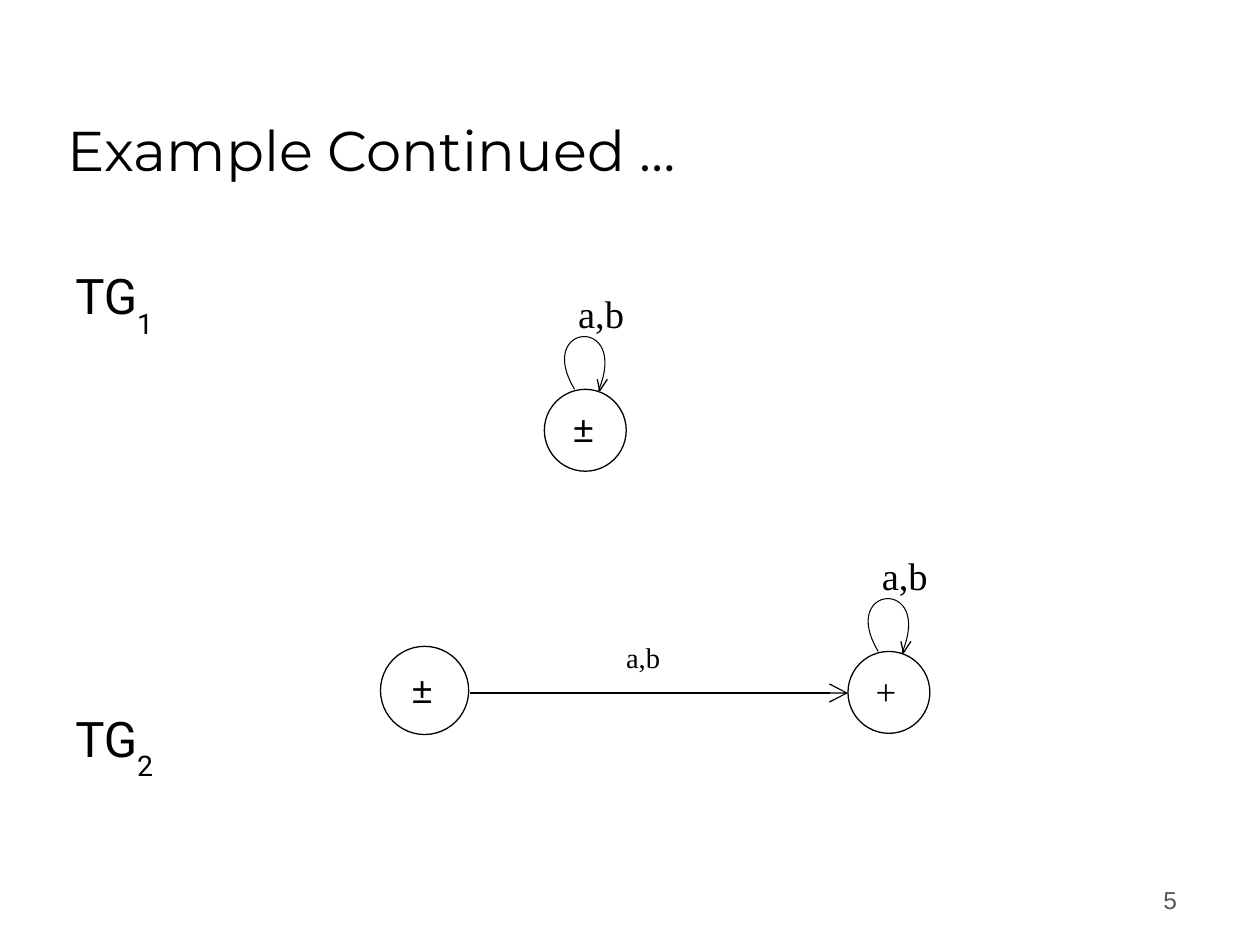
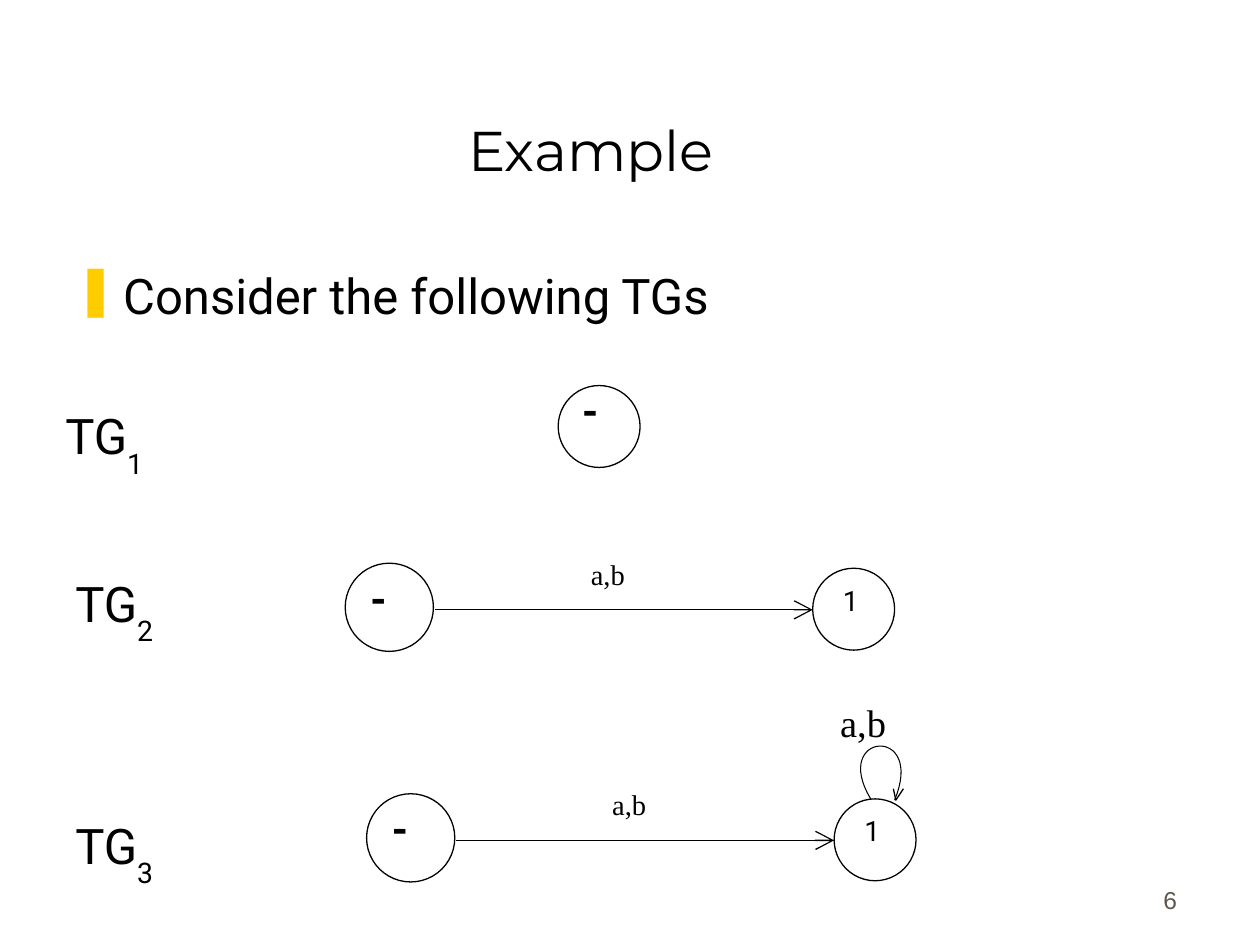
from dataclasses import dataclass
from typing import Optional

from lxml import etree
from pptx import Presentation
from pptx.dml.color import RGBColor
from pptx.enum import shapes, text
from pptx.oxml import ns
from pptx.util import Inches, Pt


# Theme: colours, fonts and type sizes shared by both slides
@dataclass(frozen=True)
class Theme:
    ink: str = "000000"
    paper: str = "FFFFFF"
    page: str = "5E574E"
    bullet: str = "FFCC00"
    title_font: str = "Montserrat"
    body_font: str = "Roboto"
    sans: str = "Arial"
    serif: str = "Times New Roman"
    title_size: float = 32
    body_size: float = 28
    loop_size: float = 22
    edge_size: float = 16.3
    page_size: float = 14
    line: float = 0.75
    loop_line: float = 0.6


T = Theme()
LEFT, CENTER, RIGHT = text.PP_ALIGN.LEFT, text.PP_ALIGN.CENTER, text.PP_ALIGN.RIGHT
INSETS = (0.1, 0.05)


@dataclass(frozen=True)
class Mark:
    """Sign in a state, placed relative to the circle's top left."""
    sign: str
    dx: float
    dy: float
    font: str
    size: float
    bold: bool = False
    spacing: Optional[float] = None


@dataclass(frozen=True)
class Loop:
    """Sideways shifts of a loop and its label from the circle's left."""
    dx: float
    label_dx: float


@dataclass(frozen=True)
class State:
    x: float
    y: float
    mark: Mark
    size: float = 0.65
    loop: Optional[Loop] = None


@dataclass(frozen=True)
class Transition:
    """Start state, arrow and end state; x, y place the start circle."""
    x: float
    y: float
    start: Mark
    end: Mark
    loop: Optional[Loop] = None


@dataclass(frozen=True)
class GraphName:
    x: float
    y: float
    number: str


# Text helpers
def add_run(p, words: str, font: str, size: float, color: str = T.ink, bold: bool = False):
    r = p.add_run()
    r.text = words
    r.font.name = font
    r.font.size = Pt(size)
    r.font.bold = bold
    r.font.color.rgb = RGBColor.from_string(color)
    return r


def add_box(s, x: float, y: float, w: float, h: float, align=LEFT,
            anchor=text.MSO_ANCHOR.TOP, insets=INSETS, spacing: Optional[float] = None):
    """Add a text box and return its first paragraph."""
    tf = s.shapes.add_textbox(Inches(x), Inches(y), Inches(w), Inches(h)).text_frame
    tf.word_wrap = True
    tf.vertical_anchor = anchor
    tf.margin_left = tf.margin_right = Inches(insets[0])
    tf.margin_top = tf.margin_bottom = Inches(insets[1])
    p = tf.paragraphs[0]
    p.alignment = align
    if spacing:
        p.line_spacing = spacing
    return p


def set_bullet(p, sign: str, color: str, indent: float) -> None:
    pPr = p._p.get_or_add_pPr()
    pPr.set("marL", str(Inches(indent)))
    pPr.set("indent", str(-Inches(indent)))
    clr = etree.SubElement(pPr, ns.qn("a:buClr"))
    etree.SubElement(clr, ns.qn("a:srgbClr")).set("val", color)
    etree.SubElement(pPr, ns.qn("a:buChar")).set("char", sign)


# Drawing helpers
def set_line(sp, width: float) -> None:
    sp.line.color.rgb = RGBColor.from_string(T.ink)
    sp.line.width = Pt(width)


def draw_path(s, points: list, width: float) -> None:
    """Draw an open outline through points given in inches."""
    pts = [(Inches(x), Inches(y)) for x, y in points]
    builder = s.shapes.build_freeform(*pts[0])
    builder.add_line_segments(pts[1:], close=False)
    sp = builder.convert_to_shape()
    sp.shadow.inherit = False
    sp.fill.background()
    set_line(sp, width)


def bezier(a, b, c, d, steps: int = 32) -> list:
    def at(t: float, i: int) -> float:
        u = 1 - t
        return u**3 * a[i] + 3 * u * u * t * b[i] + 3 * u * t * t * c[i] + t**3 * d[i]
    return [(at(n / steps, 0), at(n / steps, 1)) for n in range(steps + 1)]


def draw_loop(s, x: float, y: float, loop: Loop) -> None:
    """Loop with an open arrowhead above the circle whose top left is x, y."""
    curve = bezier((0.24, 0), (-0.08, -0.53), (0.68, -0.59), (0.43, 0.01))
    head = [(0.42, -0.08), (0.44, 0.01), (0.5, -0.08)]
    for points, width in ((curve, T.loop_line), (head, T.line)):
        draw_path(s, [(x + loop.dx + dx, y + dy) for dx, dy in points], width)
    p = add_box(s, x + loop.label_dx, y - 0.84, 0.84, 0.56)
    add_run(p, "a,b", T.serif, T.loop_size)


def draw_state(s, state: State) -> None:
    sp = s.shapes.add_shape(shapes.MSO_SHAPE.OVAL, Inches(state.x), Inches(state.y),
                            Inches(state.size), Inches(state.size))
    sp.shadow.inherit = False
    sp.fill.solid()
    sp.fill.fore_color.rgb = RGBColor.from_string(T.paper)
    set_line(sp, T.line)
    m = state.mark
    p = add_box(s, state.x + m.dx, state.y + m.dy, 0.35, 0.4,
                insets=(0, 0), spacing=m.spacing)
    add_run(p, m.sign, m.font, m.size, bold=m.bold)
    if state.loop:
        draw_loop(s, state.x, state.y, state.loop)


def draw_transition(s, t: Transition) -> None:
    draw_state(s, State(t.x, t.y, t.start, size=0.7))
    draw_state(s, State(t.x + 3.71, t.y + 0.04, t.end, loop=t.loop))
    x, y = t.x + 0.71, t.y + 0.37
    line = s.shapes.add_connector(shapes.MSO_CONNECTOR.STRAIGHT, Inches(x), Inches(y),
                                  Inches(x + 3), Inches(y))
    set_line(line, T.line)
    head = etree.SubElement(line.line._get_or_add_ln(), ns.qn("a:tailEnd"))
    for key, value in (("type", "arrow"), ("w", "lg"), ("len", "lg")):
        head.set(key, value)
    etree.SubElement(line._element.spPr, ns.qn("a:effectLst"))
    p = add_box(s, t.x + 1.85, t.y - 0.05, 0.65, 0.38, spacing=0.8)
    add_run(p, "a,b", T.serif, T.edge_size)


def draw_graph_name(s, name: GraphName) -> None:
    p = add_box(s, name.x, name.y, 1, 0.69)
    add_run(p, "TG", T.body_font, T.body_size)
    r = add_run(p, name.number, T.body_font, T.body_size)
    r.font._element.set("baseline", "-40000")


DRAW = {State: draw_state, Transition: draw_transition, GraphName: draw_graph_name}


def add_slide(prs, title: str, number: int, parts: list, align=LEFT):
    """Slide with title, page number and its graphs."""
    s = prs.slides.add_slide(prs.slide_layouts[6])
    bottom = text.MSO_ANCHOR.BOTTOM
    add_run(add_box(s, 0.44, 0.25, 8.5, 1.25, align, bottom), title, T.title_font, T.title_size)
    add_run(add_box(s, 7.36, 6.81, 2.08, 0.5, RIGHT, bottom),
            str(number), T.sans, T.page_size, T.page)
    for part in parts:
        DRAW[type(part)](s, part)
    return s


# Signs used in the states
LONE_PLUS_MINUS = Mark("±", 0.23, 0.13, T.sans, 21)
PLUS_MINUS = Mark("±", 0.25, 0.16, T.sans, 21)
PLUS = Mark("+", 0.22, 0.14, T.serif, 21)
LONE_MINUS = Mark("-", 0.19, 0.04, T.body_font, 23.8, True, 0.9)
MINUS = Mark("-", 0.2, 0.12, T.body_font, 23.8, True, 0.9)
ONE = Mark("1", 0.24, 0.12, T.body_font, 16)

# Loop placements
LABEL_RIGHT = Loop(0, 0.17)
LABEL_LEFT = Loop(0.05, -0.05)


def main() -> None:
    prs = Presentation()
    prs.slide_width, prs.slide_height = Inches(10), Inches(7.5)

    # Example continued: two graphs
    add_slide(prs, "Example Continued …", 5, [
        GraphName(0.5, 2.06, "1"),
        State(4.32, 3.09, LONE_PLUS_MINUS, loop=LABEL_RIGHT),
        GraphName(0.5, 5.57, "2"),
        Transition(3.02, 5.13, PLUS_MINUS, PLUS, LABEL_RIGHT),
    ])

    # Example: three graphs under a bullet
    s = add_slide(prs, "Example", 6, [
        GraphName(0.42, 3.17, "1"),
        State(4.43, 3.06, LONE_MINUS),
        GraphName(0.5, 4.5, "2"),
        Transition(2.74, 4.47, MINUS, ONE),
        GraphName(0.5, 6.42, "3"),
        Transition(2.91, 6.3, MINUS, ONE, LABEL_LEFT),
    ], align=CENTER)
    p = add_box(s, 0.5, 2.06, 8.94, 0.69)
    set_bullet(p, "❚", T.bullet, 0.38)
    add_run(p, "Consider the following TGs", T.body_font, T.body_size)

    prs.save("out.pptx")


if __name__ == "__main__":
    main()
